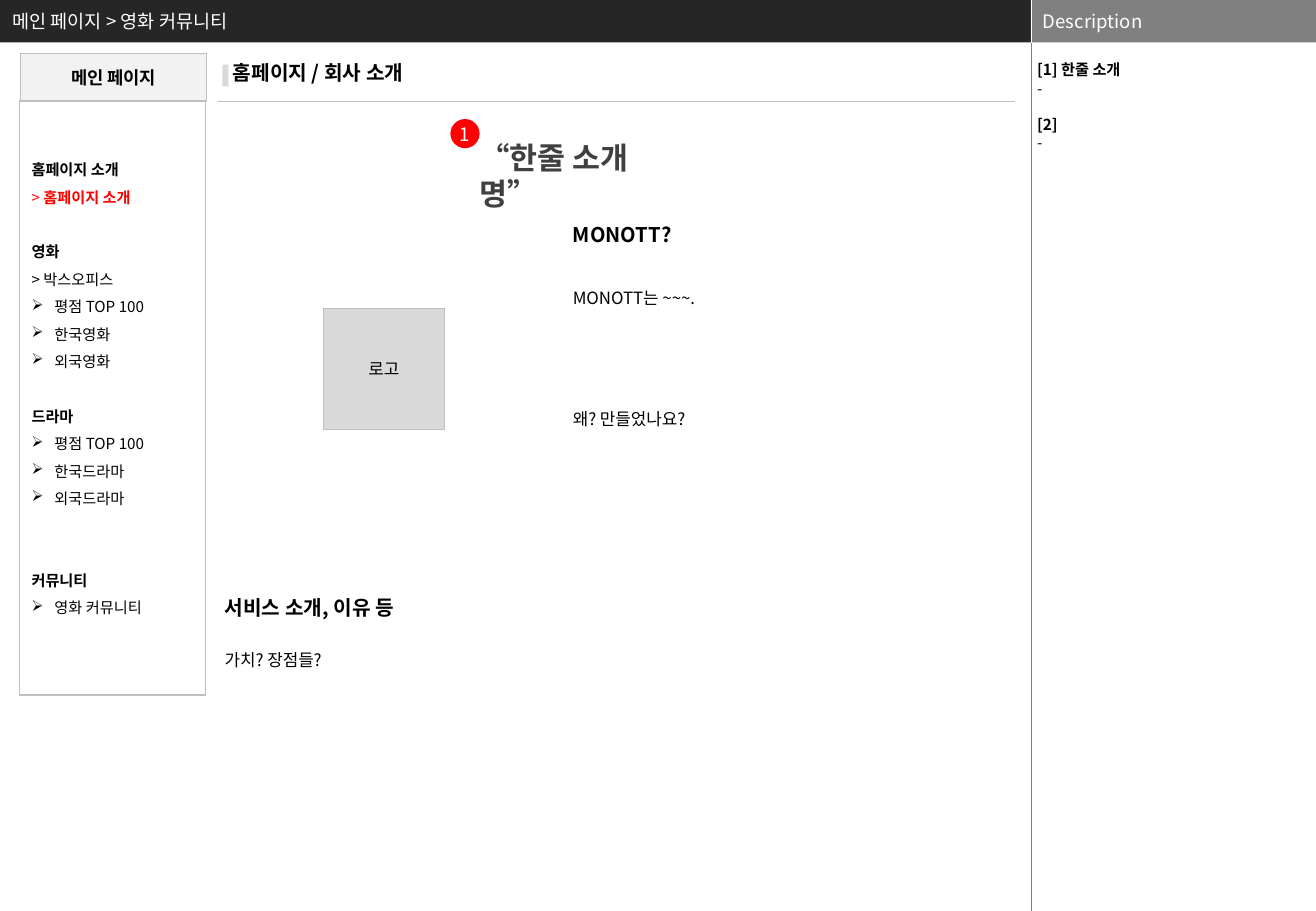
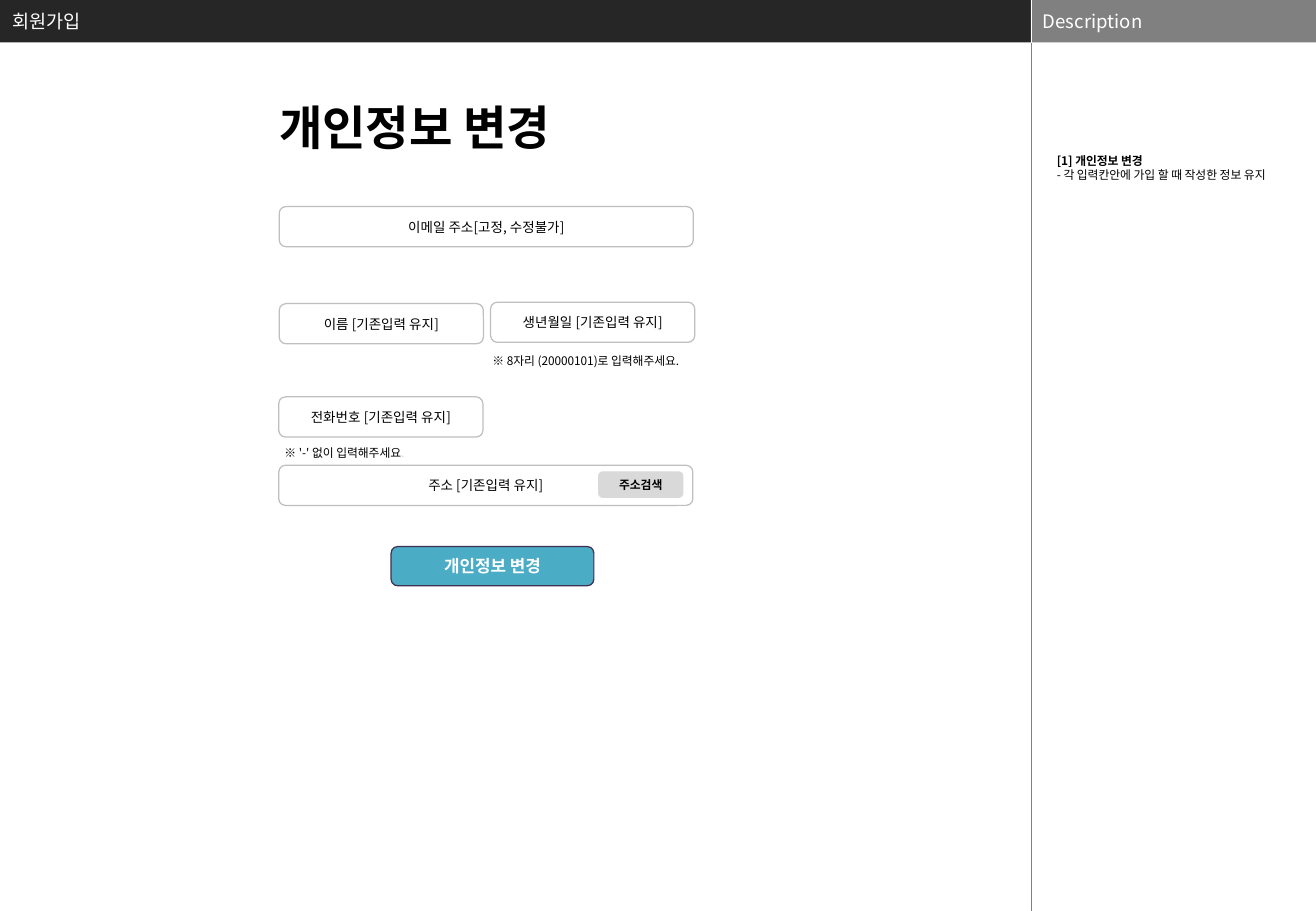
from dataclasses import dataclass

from lxml.etree import SubElement
from pptx import Presentation
from pptx.dml.color import RGBColor
from pptx.enum.shapes import MSO_CONNECTOR, MSO_SHAPE as Form
from pptx.enum.text import MSO_ANCHOR as Anchor, MSO_AUTO_SIZE as Fit, PP_ALIGN as Align
from pptx.oxml.ns import qn
from pptx.util import Cm, Pt


@dataclass(frozen=True)
class Theme:
    font: str = "Noto Sans CJK KR"
    ink: str = "000000"
    white: str = "FFFFFF"
    dark: str = "262626"
    gray: str = "808080"
    edge: str = "BFBFBF"
    pale: str = "D9D9D9"
    mist: str = "F2F2F2"
    slate: str = "404040"
    red: str = "FF0000"
    teal: str = "4BACC6"
    plum: str = "403152"
    hero: float = 28
    quote: float = 18
    head: float = 12
    bar: float = 11
    menu: float = 10.5
    text: float = 10
    list: float = 9
    field: float = 8
    note: float = 7


look = Theme()


def box(page, form, area, fill=None, line=None, width=0.75, inset=0.1):
    """Add a preset shape, or a text box when form is None; area is in cm."""
    area = [Cm(v) for v in area]
    if form is None:
        shape = page.shapes.add_textbox(*area)
    else:
        shape = page.shapes.add_shape(form, *area)
        shape.shadow.inherit = False
    if fill:
        shape.fill.solid()
        shape.fill.fore_color.rgb = RGBColor.from_string(fill)
    else:
        shape.fill.background()
    if line:
        shape.line.color.rgb = RGBColor.from_string(line)
        shape.line.width = Pt(width)
    else:
        shape.line.fill.background()
    frame = shape.text_frame
    frame.word_wrap = True
    frame.vertical_anchor = Anchor.MIDDLE if form else Anchor.TOP
    frame.margin_left = frame.margin_right = Cm(inset)
    frame.margin_top = frame.margin_bottom = Cm(min(inset, 0.13))
    return shape


def say(frame, size, *runs, gap=0, rate=1, align=Align.LEFT, mark=None):
    """Add one paragraph; each run is (text, colour, bold)."""
    para = frame.paragraphs[-1]
    if para.runs:
        para = frame.add_paragraph()
    props = para._p.get_or_add_pPr()
    step = Cm(0.48) if mark else 0
    props.set("marL", str(step))
    props.set("indent", str(-step))
    if mark:
        SubElement(props, qn("a:buChar")).set("char", mark)
    else:
        SubElement(props, qn("a:buNone"))
    para.alignment = align
    para.line_spacing = rate
    para.space_before = Pt(gap)
    for text, color, bold in runs:
        run = para.add_run()
        run.text = text
        run.font.size = Pt(size)
        run.font.bold = bold
        run.font.color.rgb = RGBColor.from_string(color)
        run.font.name = look.font
        SubElement(run._r.get_or_add_rPr(), qn("a:ea")).set("typeface", look.font)


deck = Presentation()
deck.slide_width, deck.slide_height = Cm(27.52), Cm(19.05)
split, band = 21.56, 0.89

# Layout: title place, bands and divider lines
base = deck.slide_layouts[1]
for spot in list(base.placeholders)[2:]:
    spot.element.getparent().remove(spot.element)
title = base.placeholders[0]
title.left, title.top, title.width, title.height = Cm(0), Cm(0), Cm(20.96), Cm(band)

home = deck.slides.add_slide(base)
form = deck.slides.add_slide(base)

left = box(home, Form.RECTANGLE, (0, 0, split, band), look.dark)
right = box(home, Form.RECTANGLE, (split, 0, 27.52 - split, band), look.gray, inset=0.25)
say(right.text_frame, look.bar, ("Description", look.white, False))
lines = []
for x1, y1, x2, y2, color, width in (
    (split, 0, split, band, look.white, 0.25),
    (split, band, split, 19.05, look.gray, 0.25),
    (4.55, 2.13, 21.23, 2.13, look.edge, 0.75),
):
    line = home.shapes.add_connector(MSO_CONNECTOR.STRAIGHT, Cm(x1), Cm(y1), Cm(x2), Cm(y2))
    line.line.color.rgb = RGBColor.from_string(color)
    line.line.width = Pt(width)
    SubElement(line.element.spPr, qn("a:effectLst"))
    lines.append(line)
for part in (left, right, *lines[:2]):
    base.shapes.element.append(part.element)

# Titles and descriptions
for page, name, area, size, inset, rows in (
    (home, "메인 페이지 > 영화 커뮤니티", (21.59, 1.27, 5.93, 17.78), look.list, 0.1,
     (("[1] 한줄 소개", True, 0), ("-", False, 0), ("[2]", True, 10.8), ("-", False, 0))),
    (form, "회원가입", (22.02, 3.22, 4.85, 14.15), look.note, 0.08,
     (("[1] 개인정보 변경", True, 0), ("- 각 입력칸안에 가입 할 때 작성한 정보 유지", False, 0))),
):
    frame = page.shapes.title.text_frame
    frame.auto_size = Fit.NONE
    frame.vertical_anchor = Anchor.MIDDLE
    say(frame, look.bar, (name, look.white, False))
    body = page.placeholders[1]
    body.left, body.top, body.width, body.height = [Cm(v) for v in area]
    frame = body.text_frame
    frame.auto_size = Fit.NONE
    frame.margin_left = frame.margin_right = Cm(inset)
    frame.margin_top = frame.margin_bottom = 0
    for text, bold, gap in rows:
        say(frame, size, (text, look.ink, bold), gap=gap)

# Slide 1: heading and side menu
head = box(home, None, (4.62, 1.14, 7.01, 0.76), inset=0.25)
say(head.text_frame, look.head, ("홈페이지 / 회사 소개", look.ink, True))
box(home, Form.RECTANGLE, (4.65, 1.35, 0.13, 0.46), look.pale)

top = box(home, Form.ROUNDED_RECTANGLE, (0.43, 1.12, 3.89, 0.99), look.mist, look.edge, 1)
say(top.text_frame, look.menu, ("메인 페이지", look.ink, True), align=Align.CENTER)
menu = box(home, Form.ROUNDED_RECTANGLE, (0.41, 2.11, 3.89, 12.42), None, look.edge, 1, 0.25)
top.adjustments[0] = menu.adjustments[0] = 0
frame = menu.text_frame
frame.margin_bottom = Cm(0.7)
row = 16.2
for gap, name, first, items in (
    (0, "홈페이지 소개", (("> ", look.red, False), ("홈페이지 소개", look.red, True)), ()),
    (row, "영화", (("> 박스오피스", look.ink, False),), ("평점 TOP 100", "한국영화", "외국영화")),
    (row, "드라마", (), ("평점 TOP 100", "한국드라마", "외국드라마")),
    (2 * row, "커뮤니티", (), ("영화 커뮤니티",)),
):
    say(frame, look.list, (name, look.ink, True), gap=gap, rate=1.5)
    if first:
        say(frame, look.list, *first, rate=1.5)
    for item in items:
        say(frame, look.list, (item, look.ink, False), rate=1.5, mark="➢")

# Slide 1: content
badge = box(home, Form.OVAL, (9.42, 2.49, 0.61, 0.61), look.red, inset=0)
say(badge.text_frame, look.bar, ("1", look.white, False), align=Align.CENTER)
quote = box(home, None, (10.03, 2.9, 4.04, 0.76), inset=0)
say(quote.text_frame, look.quote, ("“한줄 소개명”", look.slate, True))
logo = box(home, Form.RECTANGLE, (6.76, 6.45, 2.54, 2.54), look.pale, look.edge)
say(logo.text_frame, look.text, ("로고", look.ink, False), align=Align.CENTER)

for area, name, rows in (
    ((11.73, 4.52, 8.81, 6.45), "MONOTT?", (("MONOTT는 ~~~.", 18), ("왜? 만들었나요?", 54))),
    ((4.45, 12.32, 16.71, 1.75), "서비스 소개, 이유 등", (("가치? 장점들?", 12),)),
):
    frame = box(home, None, area, inset=0.25).text_frame
    say(frame, look.head, (name, look.ink, True))
    for text, gap in rows:
        say(frame, look.text, (text, look.ink, False), gap=gap, rate=1.5)

# Slide 2: form
name = box(form, None, (5.59, 1.93, 9.8, 1.45), inset=0.25)
say(name.text_frame, look.hero, ("개인정보 변경", look.ink, True))

wide, half, tall = 8.66, 4.27, 0.84
for text, area, fill, edge, size, color, bold in (
    *((text, (x, y, w, tall), look.white, look.edge, look.field, look.ink, False)
      for text, x, y, w in (
          ("이메일 주소[고정, 수정불가]", 5.84, 4.32, wide),
          ("이름 [기존입력 유지]", 5.84, 6.35, half),
          ("생년월일 [기존입력 유지]", 10.26, 6.32, half),
          ("전화번호 [기존입력 유지]", 5.83, 8.3, half),
          ("주소 [기존입력 유지]", 5.83, 9.73, wide))),
    ("주소검색", (12.52, 9.87, 1.76, 0.53), look.pale, look.pale, look.note, look.ink, True),
    ("개인정보 변경", (8.18, 11.43, 4.24, 0.82), look.teal, look.plum, look.text, look.white, True),
):
    cell = box(form, Form.ROUNDED_RECTANGLE, area, fill, edge)
    say(cell.text_frame, size, (text, color, bold), align=Align.CENTER)

for x, y, runs in (
    (10.05, 7.26, (("※ 8자리 (20000101)로 입력해주세요.", look.ink, False),)),
    (5.7, 9.19, (("※ '-' 없이 입력해주세요", look.ink, False), (".", look.pale, False))),
):
    hint = box(form, None, (x, y, 9.32, 0.56), inset=0.25)
    say(hint.text_frame, look.note, *runs)

deck.save("out.pptx")
